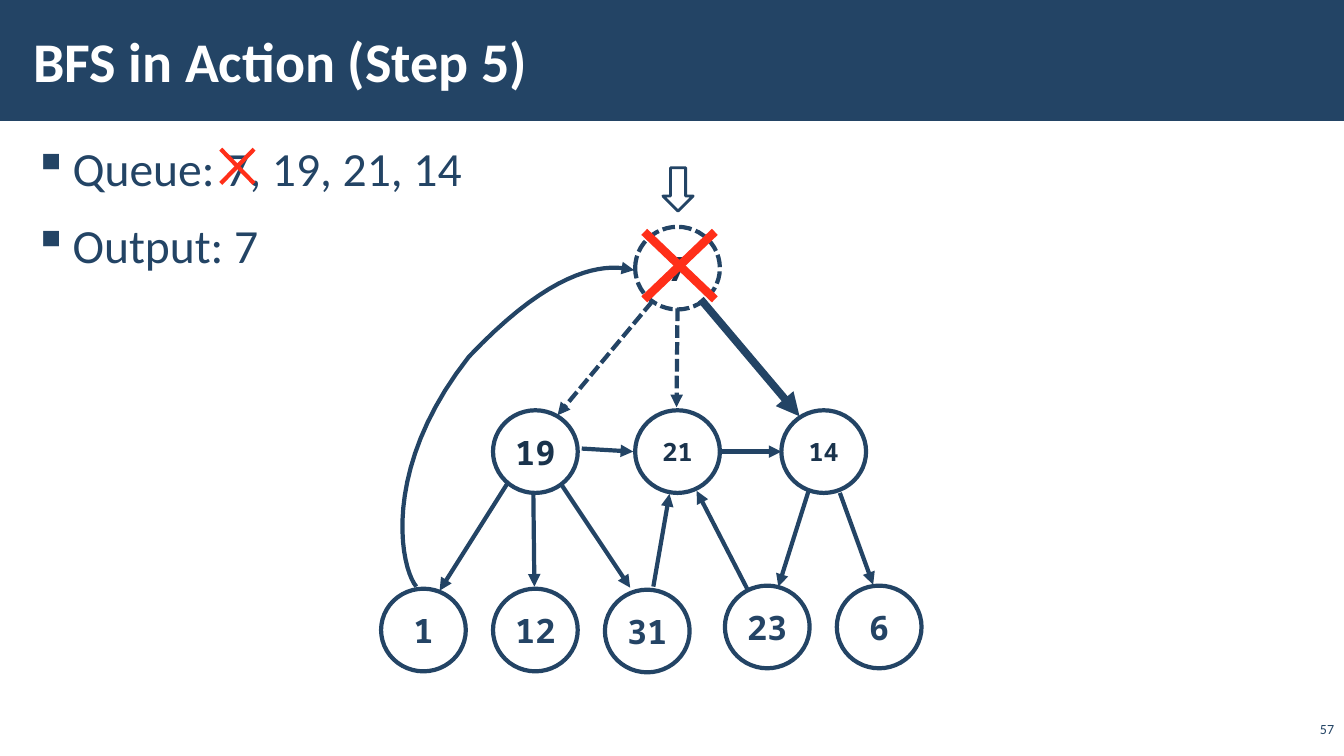
from dataclasses import dataclass

from lxml import etree
from pptx import Presentation
from pptx.dml.color import RGBColor
from pptx.enum.dml import MSO_LINE
from pptx.enum.shapes import MSO_CONNECTOR, MSO_SHAPE
from pptx.enum.text import MSO_ANCHOR, PP_ALIGN
from pptx.oxml.ns import qn
from pptx.util import Inches, Pt

STRAIGHT = MSO_CONNECTOR.STRAIGHT
RECTANGLE, CIRCLE, ARROW = MSO_SHAPE.RECTANGLE, MSO_SHAPE.OVAL, MSO_SHAPE.RIGHT_ARROW
DASHED = MSO_LINE.SQUARE_DOT
TOP, MIDDLE, BOTTOM = MSO_ANCHOR.TOP, MSO_ANCHOR.MIDDLE, MSO_ANCHOR.BOTTOM
LEFT, CENTER, RIGHT = PP_ALIGN.LEFT, PP_ALIGN.CENTER, PP_ALIGN.RIGHT


@dataclass(frozen=True)
class Theme:
    navy: str = "234465"
    visited_text: str = "1A334C"
    unvisited_text: str = "244465"
    red: str = "FF2F19"
    white: str = "FFFFFF"
    body_font: str = "Calibri"
    node_font: str = "Noto Sans Mono"
    title_size: float = 40
    body_size: float = 34
    node_size: float = 24
    small_node_size: float = 18
    number_size: float = 10
    line: float = 3
    bold_line: float = 5.5
    cross_line: float = 6
    marker_line: float = 2


THEME = Theme()

# The slide is a grid of one-inch cells
COLUMNS, ROWS = 13.33, 7.5
NODE_WIDTH, NODE_HEIGHT = 0.84, 0.82
ROOT_ROW, MIDDLE_ROW = 2.25, 4.07

# Label, column, row, visited, text size, dashed outline
NODES = [
    ("7", 6.3, ROOT_ROW, True, THEME.node_size, True),
    ("19", 4.89, MIDDLE_ROW, True, THEME.node_size, False),
    ("21", 6.3, MIDDLE_ROW, True, THEME.small_node_size, False),
    ("14", 7.75, MIDDLE_ROW, True, THEME.small_node_size, False),
    ("1", 3.78, 5.84, False, THEME.node_size, False),
    ("12", 4.89, 5.84, False, THEME.node_size, False),
    ("31", 6, 5.85, False, THEME.node_size, False),
    ("23", 7.19, 5.81, False, THEME.node_size, False),
    ("6", 8.3, 5.81, False, THEME.node_size, False),
]

EXPLORED_EDGES = [
    ((6.47, 2.99), (5.53, 4.12)),  # 7 to 19
    ((6.72, 3.06), (6.71, 4.04)),  # 7 to 21
]
CURRENT_EDGE = ((6.95, 2.97), (7.93, 4.13))  # 7 to 14
OTHER_EDGES = [
    ((5.77, 4.45), (6.28, 4.48)),  # 19 to 21
    ((7.16, 4.48), (7.75, 4.48)),  # 21 to 14
    ((5.03, 4.8), (4.36, 5.86)),   # 19 to 1
    ((5.29, 4.9), (5.3, 5.82)),    # 19 to 12
    ((5.57, 4.81), (6.25, 5.83)),  # 19 to 31
    ((8.02, 4.87), (7.72, 5.82)),  # 14 to 23
    ((8.33, 4.89), (8.66, 5.8)),   # 14 to 6
    ((6.48, 5.82), (6.64, 4.9)),   # 31 to 21
    ((7.41, 5.84), (6.91, 4.87)),  # 23 to 21
]
# Bezier control points of the edge from 1 back to 7
BACK_EDGE = [
    [(4.13, 5.82), (3.98, 5.65), (3.76, 4.67), (4.65, 3.54)],
    [(4.65, 3.54), (5.54, 2.6), (6.04, 2.62), (6.29, 2.68)],
]
CURVE_STEPS = 20


def cells(*lengths):
    return [Inches(length) for length in lengths]


def style_line(line, color, width, dash=None):
    line.color.rgb = RGBColor.from_string(color)
    line.width = Pt(width)
    if dash:
        line.dash_style = dash


def add_arrowhead(shape):
    outline = shape._element.spPr.find(qn("a:ln"))
    etree.SubElement(outline, qn("a:tailEnd"), type="triangle")


def fill_shape(shape, color, opacity=100):
    shape.shadow.inherit = False
    shape.fill.solid()
    shape.fill.fore_color.rgb = RGBColor.from_string(color)
    if opacity < 100:
        rgb = shape._element.spPr.find(f"{qn('a:solidFill')}/{qn('a:srgbClr')}")
        etree.SubElement(rgb, qn("a:alpha"), val=str(opacity * 1000))


def style_text(paragraph, font_name, size, color, bold=False, align=LEFT):
    paragraph.alignment = align
    for run in paragraph.runs:
        run.font.name = font_name
        run.font.size = Pt(size)
        run.font.bold = bold
        run.font.color.rgb = RGBColor.from_string(color)


def add_text(slide, box, text, size, color, anchor, insets=(0.12, 0.04), **style):
    frame = slide.shapes.add_textbox(*cells(*box)).text_frame
    frame.word_wrap = True
    frame.vertical_anchor = anchor
    frame.margin_left = frame.margin_right = Inches(insets[0])
    frame.margin_top = frame.margin_bottom = Inches(insets[1])
    frame.text = text
    for paragraph in frame.paragraphs:
        style_text(paragraph, THEME.body_font, size, color, **style)
    return frame


def add_bullets(frame):
    indent = Inches(0.39)
    for index, paragraph in enumerate(frame.paragraphs):
        properties = paragraph._p.get_or_add_pPr()
        properties.set("marL", str(indent))
        properties.set("indent", str(-indent))
        etree.SubElement(properties, qn("a:buChar"), char="▪")
        paragraph.line_spacing = 1.05
        paragraph.space_before = Pt(6 if index else 0)
        paragraph.space_after = Pt(6)


def add_line(slide, start, end, color, width, dash=None):
    connector = slide.shapes.add_connector(STRAIGHT, *cells(*start, *end))
    etree.SubElement(connector._element.spPr, qn("a:effectLst"))
    style_line(connector.line, color, width, dash)
    return connector


def add_edge(slide, start, end, width=THEME.line, dash=None):
    add_arrowhead(add_line(slide, start, end, THEME.navy, width, dash))


def add_cross(slide, left, top, right, bottom, width):
    add_line(slide, (left, top), (right, bottom), THEME.red, width)
    add_line(slide, (right, top), (left, bottom), THEME.red, width)


def add_node(slide, label, column, row, visited, size, dashed):
    node = slide.shapes.add_shape(CIRCLE, *cells(column, row, NODE_WIDTH, NODE_HEIGHT))
    fill_shape(node, THEME.white, 70 if visited else 50)
    style_line(node.line, THEME.navy, THEME.line, DASHED if dashed else None)
    frame = node.text_frame
    frame.word_wrap = False
    frame.vertical_anchor = MIDDLE
    frame.text = label
    color = THEME.visited_text if visited else THEME.unvisited_text
    style_text(frame.paragraphs[0], THEME.node_font, size, color, True, CENTER)


def bezier_point(controls, t):
    weights = ((1 - t) ** 3, 3 * t * (1 - t) ** 2, 3 * t ** 2 * (1 - t), t ** 3)
    return [sum(w * c for w, c in zip(weights, axis)) for axis in zip(*controls)]


def add_curved_edge(slide, segments):
    points = [cells(*bezier_point(segment, step / CURVE_STEPS))
              for segment in segments for step in range(1, CURVE_STEPS + 1)]
    builder = slide.shapes.build_freeform(*cells(*segments[0][0]))
    builder.add_line_segments(points, close=False)
    curve = builder.convert_to_shape()
    curve.shadow.inherit = False
    curve.fill.background()
    style_line(curve.line, THEME.navy, THEME.line)
    add_arrowhead(curve)


def main():
    deck = Presentation()
    deck.slide_width, deck.slide_height = cells(COLUMNS, ROWS)
    slide = deck.slides.add_slide(deck.slide_layouts[6])

    # Title band, queue and output, page number
    band = slide.shapes.add_shape(RECTANGLE, *cells(0, 0, COLUMNS, 1.2))
    fill_shape(band, THEME.navy)
    band.line.fill.background()
    progress = add_text(slide, (0.21, 1.31, 12.92, 6.05), "Queue: 7, 19, 21, 14\nOutput: 7",
                        THEME.body_size, THEME.navy, TOP)
    add_bullets(progress)
    add_text(slide, (0.21, 0.11, 10.63, 0.97), "BFS in Action (Step 5)",
             THEME.title_size, THEME.white, MIDDLE, bold=True)
    add_text(slide, (12.86, 7.14, 0.47, 0.22), "57", THEME.number_size, THEME.navy,
             BOTTOM, insets=(0.1, 0.05), align=RIGHT)
    add_cross(slide, 2.19, 1.48, 2.52, 1.82, THEME.line)

    # Graph
    for node in NODES:
        add_node(slide, *node)
    for edge in EXPLORED_EDGES:
        add_edge(slide, *edge, dash=DASHED)
    add_edge(slide, *CURRENT_EDGE, width=THEME.bold_line)
    for edge in OTHER_EDGES:
        add_edge(slide, *edge)
    add_curved_edge(slide, BACK_EDGE)
    add_cross(slide, 6.39, 2.3, 7.09, 2.97, THEME.cross_line)

    # Marker above the current node
    marker = slide.shapes.add_shape(ARROW, *cells(6.51, 1.73, 0.43, 0.3))
    marker.rotation = 90
    fill_shape(marker, THEME.white, 50)
    style_line(marker.line, THEME.navy, THEME.marker_line)

    deck.save("out.pptx")


if __name__ == "__main__":
    main()
